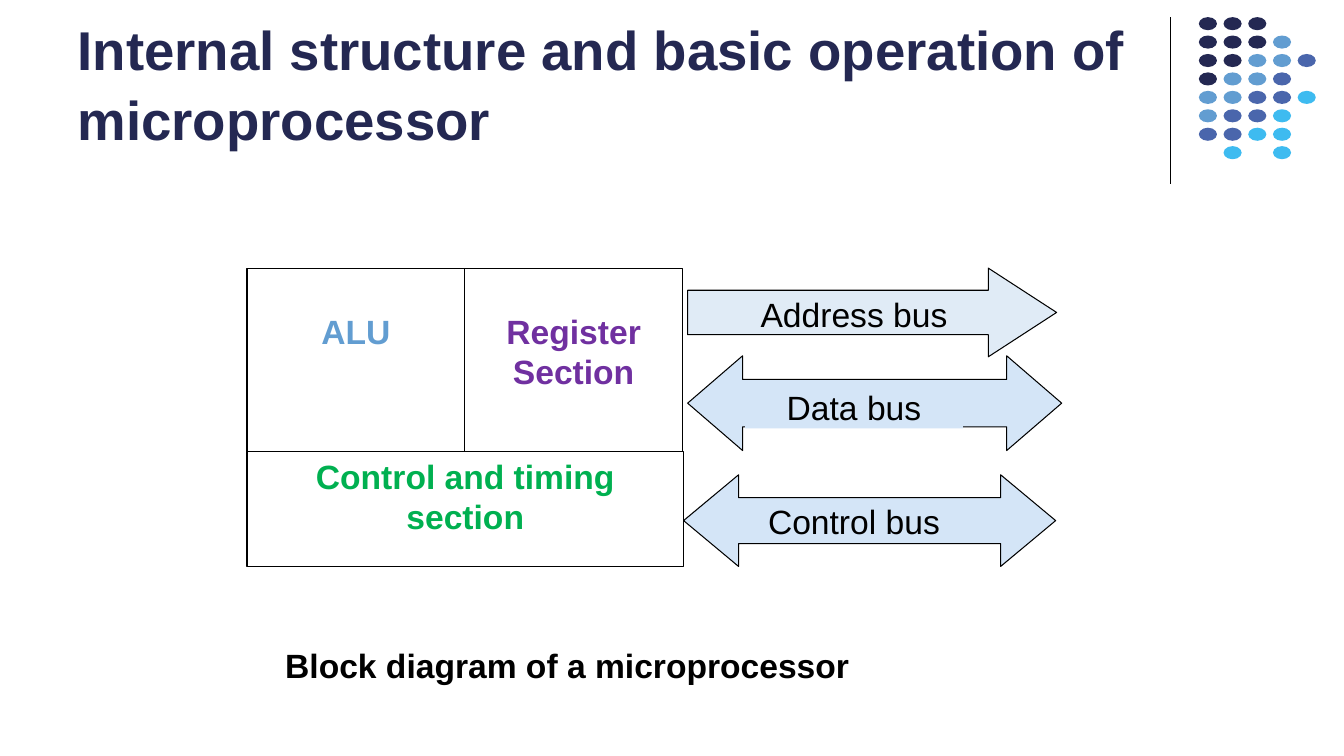
import pptx
import pptx.util
import pptx.dml.color
import pptx.enum.shapes
import pptx.enum.text
import pptx.oxml

Inches = pptx.util.Inches
Pt = pptx.util.Pt
MSO_SHAPE = pptx.enum.shapes.MSO_SHAPE
PP_ALIGN = pptx.enum.text.PP_ALIGN
MSO_ANCHOR = pptx.enum.text.MSO_ANCHOR

COLORS = {
    "navy": "242852", "sky": "629DD1", "indigo": "4A66AC", "cyan": "3EBBF0",
    "purple": "7030A0", "green": "00B050", "black": "000000", "white": "FFFFFF",
    "address": "E0EBF6", "bus": "D4E5F7",
}


class SlideBuilder:
    font = "Arial"
    size = 24
    line_width = 0.75

    def __init__(self, slide):
        self.slide = slide

    def color(self, name):
        return pptx.dml.color.RGBColor.from_string(COLORS[name])

    def label(self, sp, text, color, bold=False, size=None, align=PP_ALIGN.CENTER,
              anchor=MSO_ANCHOR.TOP, margins=(0.09, 0.04), top=None):
        tf = sp.text_frame
        tf.text = text
        tf.word_wrap = True
        tf.auto_size = pptx.enum.text.MSO_AUTO_SIZE.NONE
        tf.vertical_anchor = anchor
        side, edge = margins
        tf.margin_left = tf.margin_right = Inches(side)
        tf.margin_top = Inches(edge if top is None else top)
        tf.margin_bottom = Inches(edge)
        p = tf.paragraphs[0]
        p.alignment = align
        r = p.runs[0]
        r.font.name = self.font
        r.font.size = Pt(size or self.size)
        r.font.bold = bold
        r.font.color.rgb = self.color(color)
        return p

    def title(self, box, text):
        sp = self.slide.shapes.title
        sp.left, sp.top, sp.width, sp.height = map(Inches, box)
        p = self.label(sp, text, "navy", bold=True, size=39, align=PP_ALIGN.LEFT,
                       anchor=MSO_ANCHOR.BOTTOM, margins=(0.1, 0.05))
        p.line_spacing = 1.06

    def shape(self, kind, box, fill, outlined=True, adjustments=()):
        sp = self.slide.shapes.add_shape(kind, *map(Inches, box))
        sp.shadow.inherit = False
        sp.fill.solid()
        sp.fill.fore_color.rgb = self.color(fill)
        if outlined:
            sp.line.color.rgb = self.color("black")
            sp.line.width = Pt(self.line_width)
        else:
            sp.line.fill.background()
        for i, value in enumerate(adjustments):
            sp.adjustments[i] = value
        return sp

    def text(self, box, text, **style):
        sp = self.slide.shapes.add_textbox(*map(Inches, box))
        self.label(sp, text, "black", **style)

    def line(self, x1, y1, x2, y2):
        sp = self.slide.shapes.add_connector(
            pptx.enum.shapes.MSO_CONNECTOR.STRAIGHT, *map(Inches, (x1, y1, x2, y2)))
        sp.line.color.rgb = self.color("black")
        sp.line.width = Pt(self.line_width)
        sp._element.spPr.append(pptx.oxml.parse_xml(
            '<a:effectLst xmlns:a="http://schemas.openxmlformats.org/drawingml/2006/main"/>'))


def main():
    prs = pptx.Presentation()
    prs.slide_width, prs.slide_height = Inches(13.33), Inches(7.5)
    s = SlideBuilder(prs.slides.add_slide(prs.slide_layouts[5]))

    # Corner decoration: rule and dot grid, one letter per dot colour
    s.line(11.61, 0.17, 11.61, 1.83)
    dot_colors = {"n": "navy", "s": "sky", "i": "indigo", "c": "cyan"}
    dot_rows = ["nnn", "nnns", "nnssi", "nssi", "ssiic", "siic", "iicc", " c c"]
    dot_pitch_x, dot_pitch_y = 0.98 / 4, 1.28 / 7
    for row, dots in enumerate(dot_rows):
        for col, key in enumerate(dots):
            if key in dot_colors:
                s.shape(MSO_SHAPE.OVAL,
                        (11.89 + col * dot_pitch_x, 0.17 + row * dot_pitch_y, 0.18, 0.13),
                        dot_colors[key], outlined=False)

    # Title
    s.title((0.67, 0.13, 11, 1.42),
            "Internal structure and basic operation of microprocessor")

    # Processor sections
    sections = [
        ("ALU", "sky", (2.45, 2.66, 2.16, 1.82), 0.42),
        ("Register Section", "purple", (4.61, 2.66, 2.16, 1.82), 0.42),
        ("Control and timing section", "green", (2.45, 4.48, 4.33, 1.14), 0.04),
    ]
    for name, color, box, top in sections:
        sp = s.shape(MSO_SHAPE.RECTANGLE, box, "white")
        s.label(sp, name, color, bold=True, top=top)

    # Bus arrows
    both_ways = MSO_SHAPE.LEFT_RIGHT_ARROW
    s.shape(MSO_SHAPE.RIGHT_ARROW, (6.82, 2.66, 3.66, 0.88), "address",
            adjustments=(0.5, 0.77))
    s.shape(both_ways, (6.82, 3.53, 3.71, 0.94), "bus", adjustments=(0.5, 0.58))
    s.shape(both_ways, (6.78, 4.71, 3.69, 0.91), "bus", adjustments=(0.5, 0.6))

    # Bus labels
    s.text((7.39, 2.88, 2.16, 0.46), "Address bus")
    sp = s.shape(MSO_SHAPE.RECTANGLE, (7.39, 3.8, 2.16, 0.45), "bus", outlined=False)
    s.label(sp, "Data bus", "black")
    s.text((7.39, 4.93, 2.16, 0.46), "Control bus")

    # Caption
    s.text((2.73, 6.35, 6.61, 0.5), "Block diagram of a microprocessor",
           bold=True, align=PP_ALIGN.LEFT, margins=(0.1, 0.05))

    prs.save("out.pptx")


if __name__ == "__main__":
    main()
